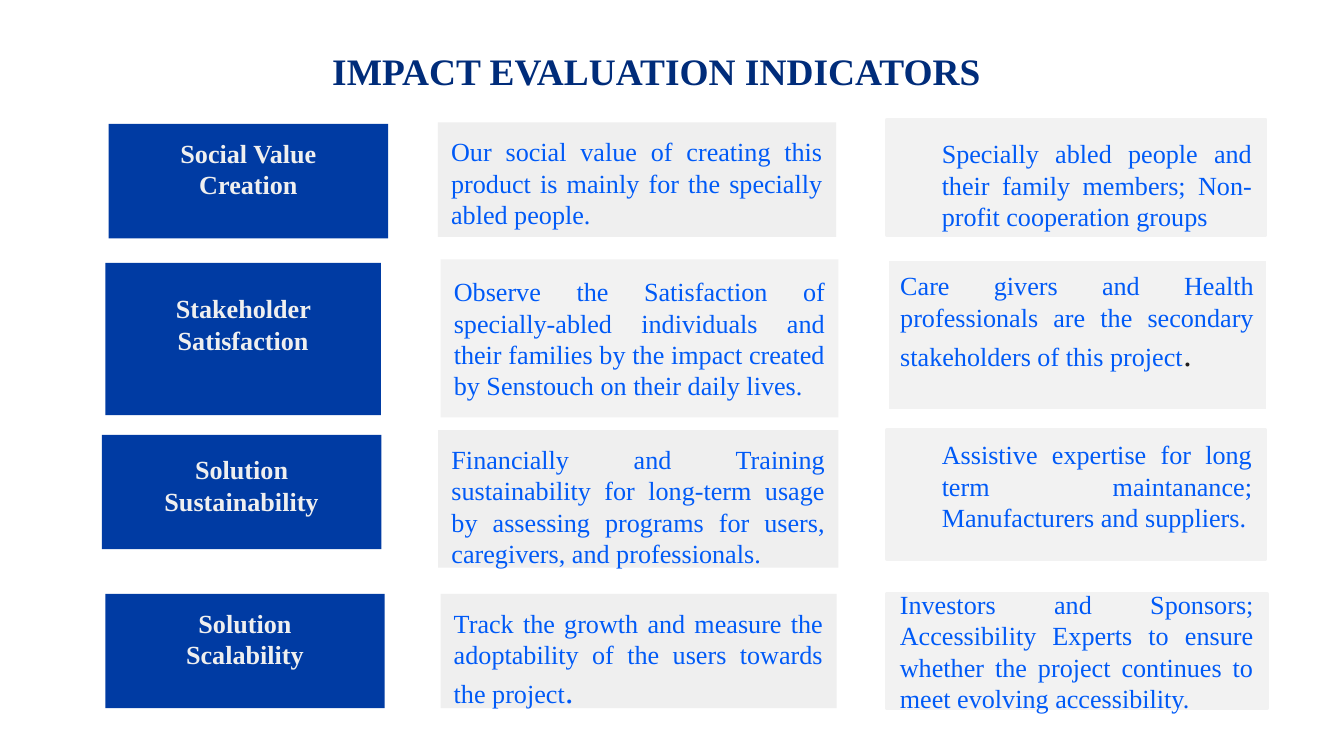
from dataclasses import dataclass

from pptx import Presentation
from pptx.dml.color import RGBColor
from pptx.enum import shapes, text
from pptx.util import Pt


@dataclass(frozen=True)
class Theme:
    font: str = "Times New Roman"
    navy: str = "002C7A"
    blue: str = "003BA3"
    ink: str = "005AF7"
    dark: str = "221F1F"
    pale: str = "EFEFEF"
    light: str = "F2F2F2"
    white: str = "FFFFFF"
    head: int = 20
    stop: int = 18
    body: int = 14


THEME = Theme()
TOP, MID = text.MSO_ANCHOR.TOP, text.MSO_ANCHOR.MIDDLE

# Each row: box (left, top, width, height), top inset, text
LABELS = [
    ((58.2, 66.4, 149.8, 61.4), 7.2, "Social Value Creation"),
    ((56.5, 140.8, 147.6, 81.6), 16, "Stakeholder Satisfaction"),
    ((54.6, 233, 149.7, 61.2), 10, "Solution Sustainability"),
    ((56.4, 318.2, 149.7, 61.2), 7, "Solution Scalability"),
]

# Each row: box, fill, anchor, text, large full stop
AIMS = [
    ((234.6, 65.6, 213.4, 61.4), THEME.pale, TOP,
     "Our social value of creating this product is mainly for the specially "
     "abled people.", ""),
    ((236, 139, 213.2, 84.6), THEME.light, MID,
     "Observe the Satisfaction of specially-abled individuals and their "
     "families by the impact created by Senstouch on their daily lives.", ""),
    ((234.8, 230.4, 214.4, 73.8), THEME.pale, TOP,
     "Financially and Training sustainability for long-term usage by assessing "
     "programs for users, caregivers, and professionals.", ""),
    ((236, 318.2, 212.2, 61.2), THEME.pale, TOP,
     "Track the growth and measure the adoptability of the users towards the "
     "project", "."),
]

# Each row: box, line, anchor, left inset, top inset, text, large full stop
GROUPS = [
    ((475, 64.2, 203, 61.6), THEME.light, TOP, 29.5, 9.6,
     "Specially abled people and their family members; Non-profit cooperation "
     "groups", ""),
    ((475.2, 138.9, 203.8, 81.4), THEME.white, TOP, 7.2, 5.6,
     "Care givers and Health professionals are the secondary stakeholders of "
     "this project", "."),
    ((475, 230.4, 203, 69), THEME.light, TOP, 29.5, 4.6,
     "Assistive expertise for long term maintanance; Manufacturers and "
     "suppliers.", ""),
    ((475, 318.2, 203.8, 61.2), THEME.light, MID, 7.2, 3.6,
     "Investors and Sponsors; Accessibility Experts to ensure whether the "
     "project continues to meet evolving accessibility.", ""),
]


def color(code):
    return RGBColor.from_string(code)


def place(shape, box):
    shape.left, shape.top, shape.width, shape.height = map(Pt, box)


def inset(frame, left, top, right, low):
    frame.margin_left, frame.margin_top = Pt(left), Pt(top)
    frame.margin_right, frame.margin_bottom = Pt(right), Pt(low)


def style(font, size, code, bold=False):
    font.name, font.size, font.bold = THEME.font, Pt(size), bold
    font.color.rgb = color(code)


def add_title(slide, words):
    title = slide.shapes.title
    place(title, (48.2, 18.7, 607, 40))
    frame = title.text_frame
    frame.text = words
    frame.vertical_anchor = TOP
    inset(frame, 7.2, 7.2, 7.2, 7.2)
    para = frame.paragraphs[0]
    para.alignment = text.PP_ALIGN.CENTER
    style(para.font, THEME.head, THEME.navy, True)


def add_box(slide, box, fill, line=None):
    shape = slide.shapes.add_shape(shapes.MSO_SHAPE.RECTANGLE, *map(Pt, box))
    shape.shadow.inherit = False
    shape.fill.solid()
    shape.fill.fore_color.rgb = color(fill)
    if line:
        shape.line.color.rgb = color(line)
        shape.line.width = Pt(2)
    else:
        shape.line.fill.background()
    shape.text_frame.word_wrap = True
    return shape


def add_label(slide, box, top, words):
    """Side insets are wide, so that each label breaks into two lines."""
    frame = add_box(slide, box, THEME.blue).text_frame
    frame.vertical_anchor = TOP
    inset(frame, 20, top, 20, 7.2)
    para = frame.paragraphs[0]
    para.text = words
    para.alignment = text.PP_ALIGN.CENTER
    style(para.font, THEME.body, THEME.pale, True)


def add_body(shape, anchor, words, stop, code):
    """Justified text, which may end in a larger full stop."""
    frame = shape.text_frame
    frame.vertical_anchor = anchor
    para = frame.paragraphs[0]
    para.alignment = text.PP_ALIGN.JUSTIFY
    for part, size, tint in ((words, THEME.body, THEME.ink),
                             (stop, THEME.stop, code)):
        if part:
            run = para.add_run()
            run.text = part
            style(run.font, size, tint)


def add_aim(slide, box, fill, anchor, words, stop):
    shape = add_box(slide, box, fill)
    inset(shape.text_frame, 7.2, 7.2, 7.2, 7.2)
    add_body(shape, anchor, words, stop, THEME.ink)


def add_group(slide, box, line, anchor, left, top, words, stop):
    shape = add_box(slide, box, THEME.light, line)
    inset(shape.text_frame, left, top, 7.2, 3.6)
    add_body(shape, anchor, words, stop, THEME.dark)


def main():
    deck = Presentation()
    deck.slide_width, deck.slide_height = Pt(720), Pt(405)
    slide = deck.slides.add_slide(deck.slide_layouts[5])
    add_title(slide, "IMPACT EVALUATION INDICATORS")
    for add, rows in ((add_label, LABELS), (add_aim, AIMS),
                      (add_group, GROUPS)):
        for row in rows:
            add(slide, *row)
    deck.save("out.pptx")


if __name__ == "__main__":
    main()
